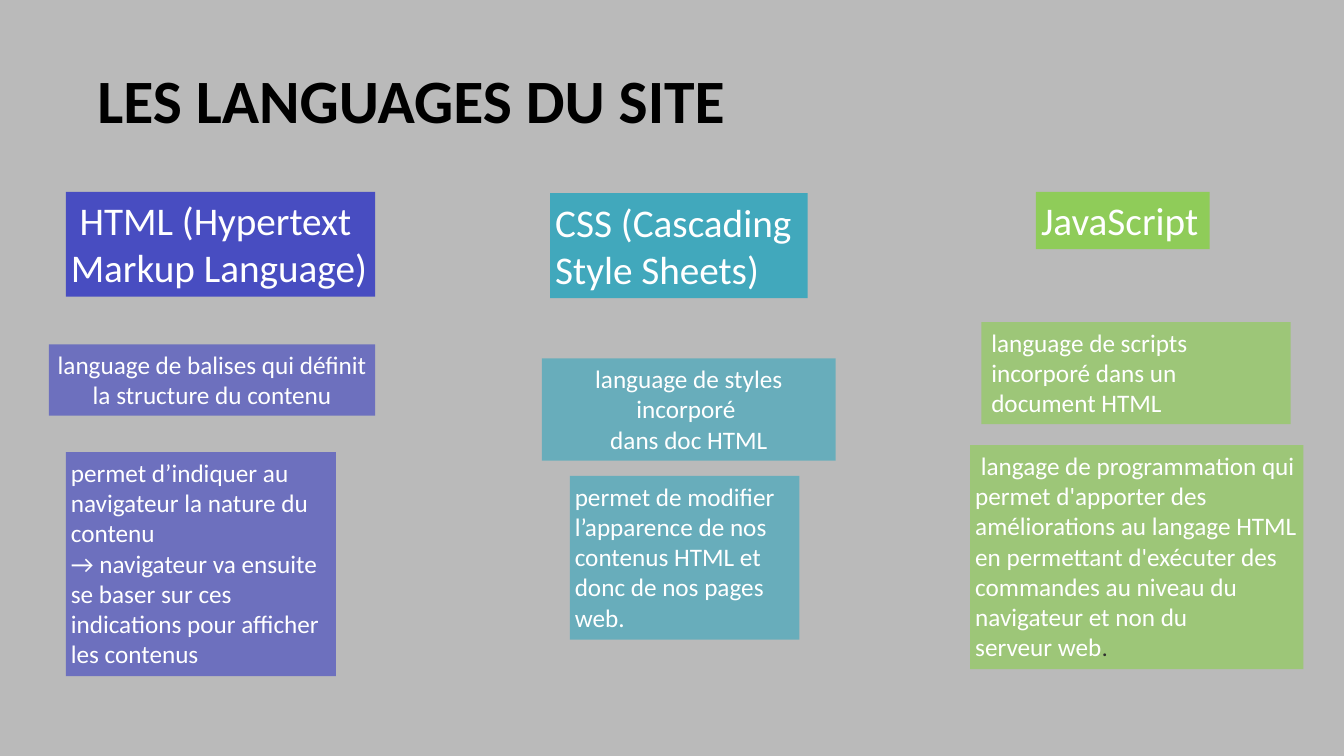
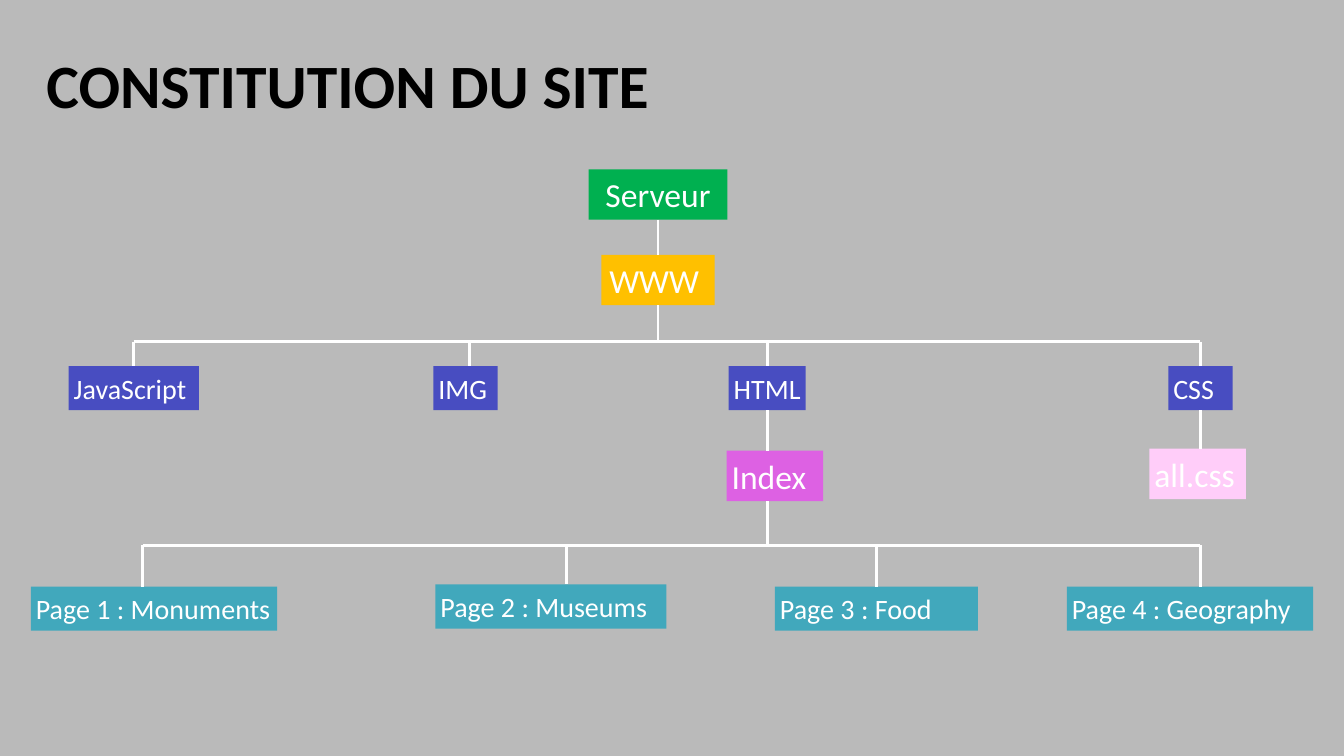
from lxml.etree import SubElement
from pptx import Presentation
from pptx.dml.color import RGBColor
from pptx.enum.shapes import MSO_CONNECTOR
from pptx.enum.text import MSO_ANCHOR, MSO_AUTO_SIZE, PP_ALIGN
from pptx.oxml.ns import qn
from pptx.util import Pt

COLORS = {
    "background": "BABABA", "title": "000000", "text": "FFFFFF", "dot": "303030",
    "blue": "484DC1", "teal": "41A8BC", "lime": "8FCC59", "green": "00B050",
    "amber": "FFC000", "violet": "DD61E3", "pink": "FFCDF9",
}
FONT = "Calibri"
INSET = 3.6
TINT = 67  # opacity of the explanation boxes, in percent
LEFT, CENTER = PP_ALIGN.LEFT, PP_ALIGN.CENTER
TOP_SIDE, BOTTOM_SIDE = 0, 2

# Languages: colour, then (left, top, width, height), paragraphs, alignment, inset
LANGUAGES = [
    ("blue", [
        ((47, 137, 221, 75), [" HTML (Hypertext", "Markup Language)"], LEFT, INSET),
        ((35, 246, 233, 51),
         ["language de balises qui définit la structure du contenu"], CENTER, INSET),
        ((47, 323, 193, 160),
         ["permet d’indiquer au navigateur la nature du contenu",
          "→ navigateur va ensuite se baser sur ces indications pour afficher les contenus"],
         LEFT, INSET),
    ]),
    ("teal", [
        ((393, 138, 184, 75), ["CSS (Cascading", "Style Sheets)"], LEFT, INSET),
        ((387, 256, 210, 73),
         ["language de styles incorporé ", "dans doc HTML"], CENTER, INSET),
        ((407, 340, 164, 117),
         ["permet de modifier l’apparence de nos contenus HTML et donc de nos pages web."],
         LEFT, INSET),
    ]),
    ("lime", [
        ((740, 137, 124, 41), ["JavaScript"], LEFT, INSET),
        ((701, 230, 221, 73),
         ["language de scripts incorporé dans un document HTML"], LEFT, 7.2),
        ((693, 318, 238, 160),
         [" langage de programmation qui permet d'apporter des améliorations au langage HTML "
          "en permettant d'exécuter des commandes au niveau du navigateur et non du\v"
          "serveur web"], LEFT, INSET),
    ]),
]

# Site tree: left, top, width, text, colour, alignment
TRUNK = [
    (420.5, 121, 99, "Serveur", "green", CENTER),
    (429.5, 182, 81, "WWW ", "amber", CENTER),
    (519, 322, 69, "Index", "violet", LEFT),
    (821, 320.5, 69, "all.css", "pink", LEFT),
]
# Branches: left, top, width, text, x of the line coming down to the box
FOLDERS = [
    (49, 261.5, 93, "JavaScript", 95.5),
    (309.5, 261.5, 46, "IMG", 335.5),
    (520.5, 261.5, 55, "HTML", 548),
    (834.5, 261.5, 46, "CSS", 857.5),
]
PAGES = [
    (22, 419, 176, "Page 1 : Monuments", 102),
    (311, 417.5, 165, "Page 2 : Museums", 404.5),
    (553.5, 419, 145, "Page 3 : Food", 626),
    (762, 419, 176, "Page 4 : Geography", 857.5),
]
FOLDER_BAR, PAGE_BAR = 244, 389.5


def color(name):
    return RGBColor.from_string(COLORS[name])


def add_page(deck, text, left, top):
    page = deck.slides.add_slide(deck.slide_layouts[5])
    title = page.shapes.title
    title.left, title.top, title.width, title.height = Pt(left), Pt(top), Pt(828), Pt(104)
    frame = title.text_frame
    frame.text = text
    frame.auto_size = MSO_AUTO_SIZE.NONE
    frame.vertical_anchor = MSO_ANCHOR.MIDDLE
    set_insets(frame, INSET)
    para = frame.paragraphs[0]
    para.alignment = LEFT
    para.line_spacing = 0.9
    set_font(para.font, 44, "title")
    para.font.bold = True
    return page


def set_insets(frame, inset):
    frame.margin_left = frame.margin_right = Pt(inset)
    frame.margin_top = frame.margin_bottom = Pt(INSET)


def set_font(font, size, color_name, name=FONT):
    font.name = name
    font.size = Pt(size)
    font.color.rgb = color(color_name)


def add_box(page, place, lines, fill, size, alignment=LEFT, inset=INSET, opacity=100):
    box = page.shapes.add_textbox(*map(Pt, place))
    box.fill.solid()
    box.fill.fore_color.rgb = color(fill)
    if opacity < 100:
        tone = box._element.spPr.find(qn("a:solidFill"))[0]
        SubElement(tone, qn("a:alpha")).set("val", str(opacity * 1000))
    frame = box.text_frame
    frame.word_wrap = True
    set_insets(frame, inset)
    frame.text = "\n".join(lines)
    for para in frame.paragraphs:
        para.alignment = alignment
        set_font(para.font, size, "text")
    return box


def add_line(page, x1, y1, x2, y2):
    line = page.shapes.add_connector(MSO_CONNECTOR.STRAIGHT, *map(Pt, (x1, y1, x2, y2)))
    line.line.color.rgb = color("text")
    line.line.width = Pt(2)
    SubElement(line._element.spPr, qn("a:effectLst"))
    return line


def add_stem(page, x, upper, lower):
    """Vertical line; each end is a box or a height in points."""
    y1 = upper if isinstance(upper, (int, float)) else upper.top.pt + upper.height.pt
    y2 = lower if isinstance(lower, (int, float)) else lower.top.pt
    line = add_line(page, x, y1, x, y2)
    for end, side, join in ((upper, BOTTOM_SIDE, line.begin_connect),
                            (lower, TOP_SIDE, line.end_connect)):
        if not isinstance(end, (int, float)) and abs(end.left + end.width / 2 - Pt(x)) < Pt(1):
            join(end, side)


def add_branch(page, items, bar, fill):
    """Row of boxes hanging from one horizontal bar."""
    add_line(page, items[0][-1], bar, items[-1][-1], bar)
    boxes = {}
    for left, top, width, text, x in items:
        boxes[text] = add_box(page, (left, top, width, 31.5), [text], fill, 20)
        add_stem(page, x, bar, boxes[text])
    return boxes


def build_languages(deck):
    page = add_page(deck, "LES LANGUAGES DU SITE", 66, 22)
    for fill, parts in LANGUAGES:
        for index, (place, lines, alignment, inset) in enumerate(parts):
            size, opacity = (18, TINT) if index else (28, 100)
            box = add_box(page, place, lines, fill, size, alignment, inset, opacity)
    # The last sentence closes with a dark full stop
    dot = box.text_frame.paragraphs[-1].add_run()
    dot.text = "."
    set_font(dot.font, 18, "dot", "Roboto")


def build_tree(deck):
    page = add_page(deck, "CONSTITUTION DU SITE", 29.5, 11)
    server, root, index, style = [
        add_box(page, (left, top, width, 36), [text], fill, 24, alignment)
        for left, top, width, text, fill, alignment in TRUNK]
    folders = add_branch(page, FOLDERS, FOLDER_BAR, "blue")
    add_branch(page, PAGES, PAGE_BAR, "teal")
    for x, upper, lower in [(470, server, root), (470, root, FOLDER_BAR),
                            (548, folders["HTML"], index), (548, index, PAGE_BAR),
                            (857.5, folders["CSS"], style)]:
        add_stem(page, x, upper, lower)


def main():
    deck = Presentation()
    deck.slide_width, deck.slide_height = Pt(960), Pt(540)
    background = deck.slide_master.background.fill
    background.solid()
    background.fore_color.rgb = color("background")
    build_languages(deck)
    build_tree(deck)
    deck.save("out.pptx")


if __name__ == "__main__":
    main()
